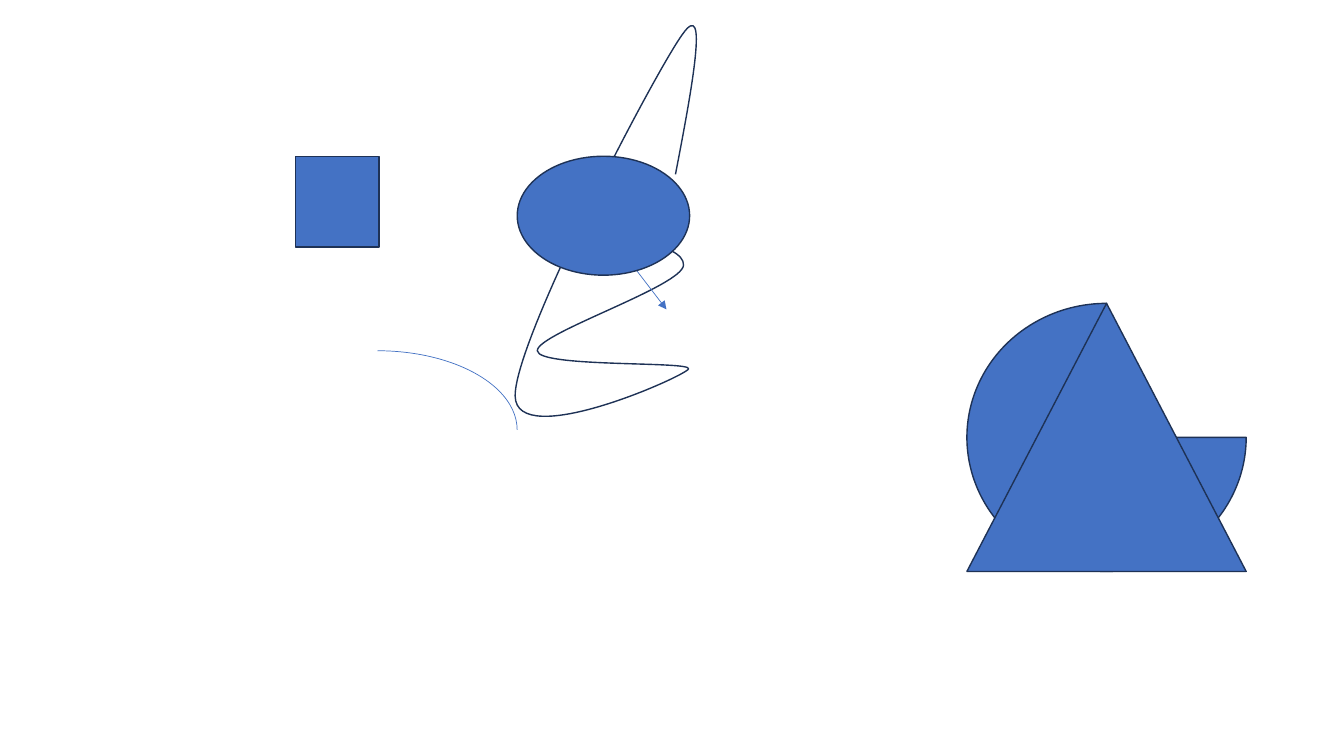
from dataclasses import dataclass

from lxml import etree
from pptx import Presentation
from pptx.dml.color import RGBColor
from pptx.dml.line import LineFormat
from pptx.enum.shapes import MSO_CONNECTOR, MSO_SHAPE
from pptx.oxml.ns import qn
from pptx.shapes.shapetree import GroupShapes, SlideShapes
from pptx.util import Inches, Pt

RECTANGLE = MSO_SHAPE.RECTANGLE
ARC = MSO_SHAPE.ARC
OVAL = MSO_SHAPE.OVAL
PIE = MSO_SHAPE.PIE
TRIANGLE = MSO_SHAPE.ISOSCELES_TRIANGLE
STRAIGHT = MSO_CONNECTOR.STRAIGHT

Point = tuple[float, float]


@dataclass(frozen=True)
class Theme:
    blue: RGBColor = RGBColor(0x44, 0x72, 0xC4)
    navy: RGBColor = RGBColor(0x1E, 0x32, 0x56)
    outline: Pt = Pt(1)
    thin: Pt = Pt(0.5)


@dataclass(frozen=True)
class Figure:
    kind: MSO_SHAPE
    left: float
    top: float
    width: float
    height: float
    filled: bool = True


THEME = Theme()
SQUARE = Figure(RECTANGLE, 2.93, 1.55, 0.83, 0.9)
THIN_ARC = Figure(ARC, 2.36, 3.48, 2.77, 1.57, filled=False)
ELLIPSE = Figure(OVAL, 5.13, 1.55, 1.71, 1.18)
GROUPED = [Figure(kind, 9.59, 3.01, 2.77, 2.66) for kind in (PIE, TRIANGLE)]

ARROW_START, ARROW_END = (5.79, 2.0), (6.61, 3.07)
SCRIBBLE_CORNER, SCRIBBLE_SIZE = (5.11, 0.25), (1.8, 3.88)
SCRIBBLE_START = (5.37, 2.21)
SCRIBBLE_CURVES = [
    ((6.08, 2.31), (6.79, 2.42), (6.78, 2.63)),
    ((6.77, 2.84), (5.32, 3.31), (5.33, 3.48)),
    ((5.34, 3.65), (6.87, 3.58), (6.83, 3.66)),
    ((6.8, 3.73), (5.12, 4.48), (5.11, 3.93)),
    ((5.1, 3.38), (6.5, 0.71), (6.77, 0.34)),
    ((7.03, -0.03), (6.87, 0.85), (6.7, 1.73)),
]


def style_line(line: LineFormat, color: RGBColor, width: Pt) -> None:
    """Give a line its colour and width."""
    line.color.rgb = color
    line.width = width


def draw_figure(shapes: SlideShapes | GroupShapes, figure: Figure) -> None:
    """Draw a preset shape, filled and outlined or as a thin line."""
    shape = shapes.add_shape(
        figure.kind,
        Inches(figure.left),
        Inches(figure.top),
        Inches(figure.width),
        Inches(figure.height),
    )
    shape.shadow.inherit = False
    if figure.filled:
        shape.fill.solid()
        shape.fill.fore_color.rgb = THEME.blue
        style_line(shape.line, THEME.navy, THEME.outline)
    else:
        shape.fill.background()
        style_line(shape.line, THEME.blue, THEME.thin)


def add_segment(outline: etree.ElementBase, tag: str, points: tuple[Point, ...]) -> None:
    """Append one move or curve, measured from the scribble's corner."""
    segment = etree.SubElement(outline, qn(tag))
    left, top = SCRIBBLE_CORNER
    for x, y in points:
        etree.SubElement(segment, qn("a:pt"), x=str(Inches(x - left)), y=str(Inches(y - top)))


def draw_scribble(shapes: SlideShapes) -> None:
    """Draw the open outline with one cubic curve for each segment."""
    builder = shapes.build_freeform(*map(Inches, SCRIBBLE_START))
    ends = [tuple(map(Inches, curve[-1])) for curve in SCRIBBLE_CURVES]
    builder.add_line_segments(ends, close=False)
    scribble = builder.convert_to_shape()
    scribble.left, scribble.top = map(Inches, SCRIBBLE_CORNER)
    scribble.width, scribble.height = map(Inches, SCRIBBLE_SIZE)

    outline = next(scribble._element.iter(qn("a:path")))
    for segment in list(outline):
        outline.remove(segment)
    outline.set("w", str(scribble.width))
    outline.set("h", str(scribble.height))
    add_segment(outline, "a:moveTo", (SCRIBBLE_START,))
    for curve in SCRIBBLE_CURVES:
        add_segment(outline, "a:cubicBezTo", curve)

    scribble.shadow.inherit = False
    scribble.fill.background()
    style_line(scribble.line, THEME.navy, THEME.outline)


def draw_arrow(shapes: SlideShapes) -> None:
    """Draw the thin arrow that leaves the ellipse."""
    arrow = shapes.add_connector(STRAIGHT, *map(Inches, ARROW_START + ARROW_END))
    style_line(arrow.line, THEME.blue, THEME.thin)
    properties = arrow._element.spPr
    etree.SubElement(properties.find(qn("a:ln")), qn("a:tailEnd"), type="triangle")
    etree.SubElement(properties, qn("a:effectLst"))


def main() -> None:
    """Build the slide of shapes and save the deck."""
    deck = Presentation()
    deck.slide_width, deck.slide_height = Inches(13.33), Inches(7.5)
    page = deck.slides.add_slide(deck.slide_layouts[6])
    draw_figure(page.shapes, SQUARE)
    draw_figure(page.shapes, THIN_ARC)
    draw_scribble(page.shapes)
    draw_arrow(page.shapes)
    draw_figure(page.shapes, ELLIPSE)
    group = page.shapes.add_group_shape()
    for figure in GROUPED:
        draw_figure(group.shapes, figure)
    deck.save("out.pptx")


if __name__ == "__main__":
    main()
